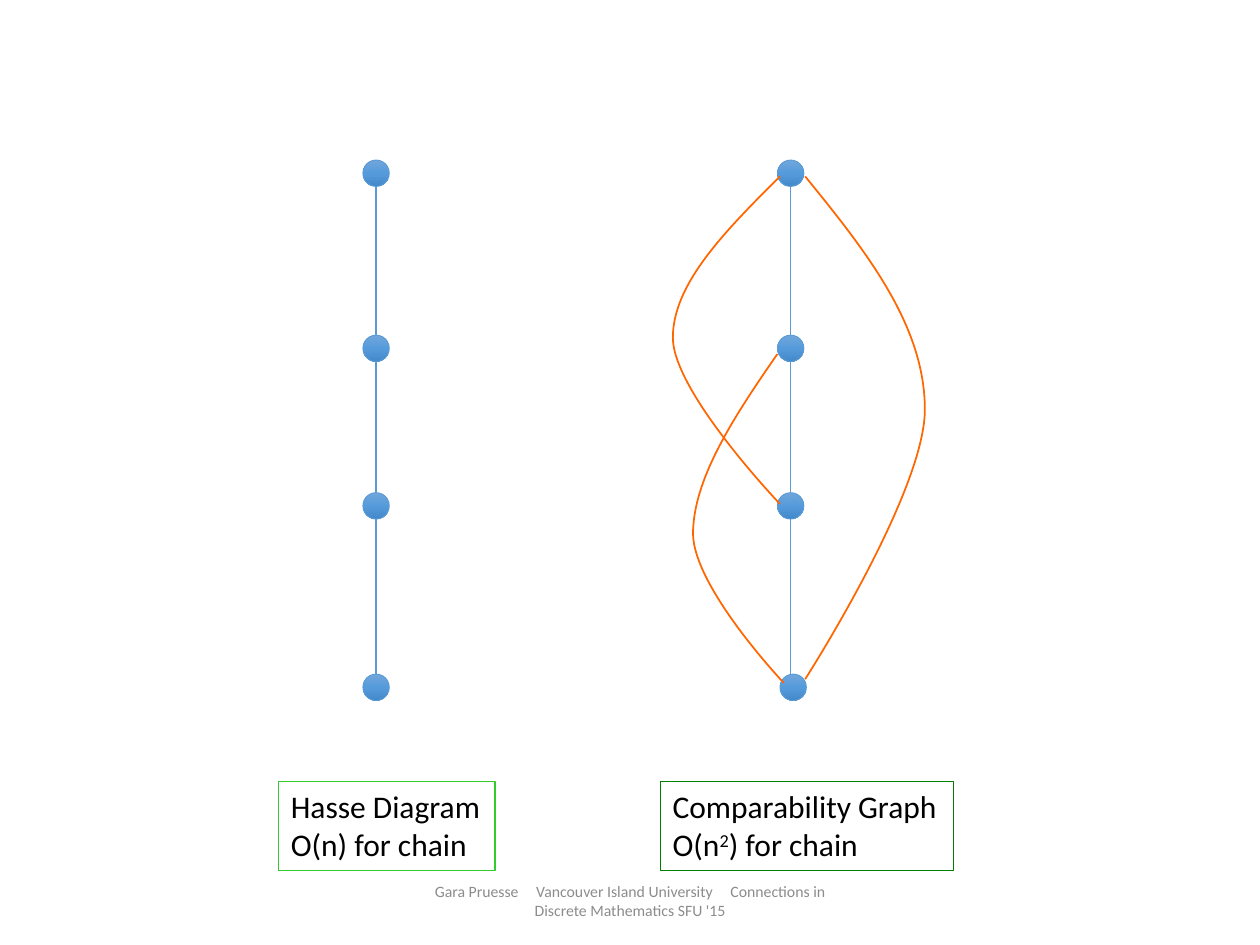
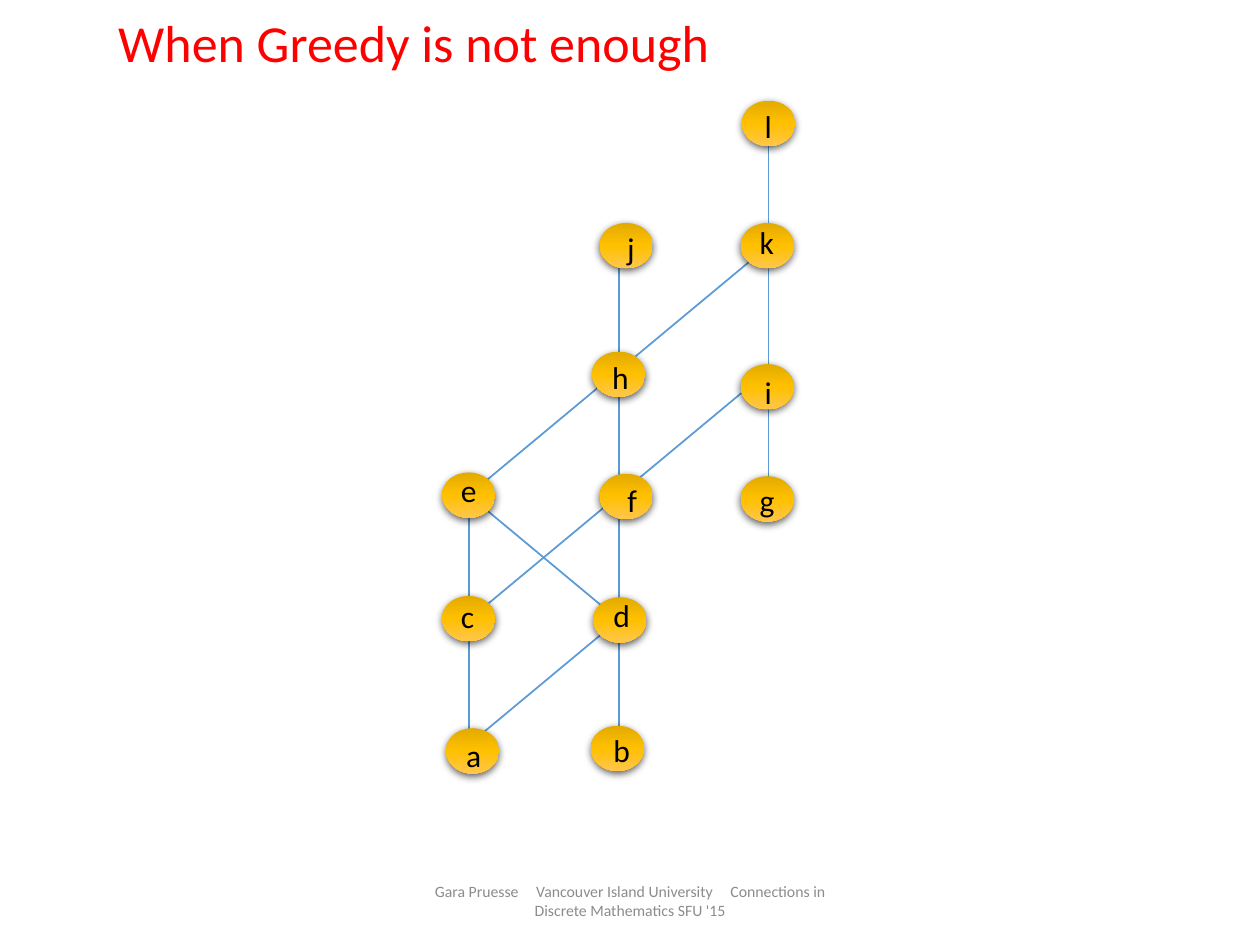
from lxml import etree
from pptx import Presentation
from pptx.dml.color import RGBColor
from pptx.enum.shapes import MSO_CONNECTOR, MSO_SHAPE
from pptx.enum.text import MSO_ANCHOR, MSO_AUTO_SIZE, PP_ALIGN
from pptx.oxml import parse_xml
from pptx.oxml.ns import qn
from pptx.util import Inches, Pt

STRAIGHT, ELLIPSE = MSO_CONNECTOR.STRAIGHT, MSO_SHAPE.OVAL
MIDDLE, TOP = MSO_ANCHOR.MIDDLE, MSO_ANCHOR.TOP
LEFT, CENTER = PP_ALIGN.LEFT, PP_ALIGN.CENTER
NO_FIT, GROW = MSO_AUTO_SIZE.NONE, MSO_AUTO_SIZE.SHAPE_TO_FIT_TEXT
NAMESPACE = 'xmlns:a="http://schemas.openxmlformats.org/drawingml/2006/main"'

FONT = "Calibri"
BLACK, GREY, RED = "000000", "8C8C8C", "FF0000"
BLUE, ORANGE = "5B9BD5", "FF6600"
BLUE_BALL = ("71A6DB", "559BDB", "448ACA")
GOLD_BALL = ("E3AB00", "FFC000", "FFC64B")
SHADOW = (f'<a:outerShdw {NAMESPACE} blurRad="57150" dist="19050" dir="5400000" '
          'algn="ctr" rotWithShape="0"><a:srgbClr val="000000">'
          '<a:alpha val="63000"/></a:srgbClr></a:outerShdw>')

paint = RGBColor.from_string


def add_text(slide, place, lines, size=18, color=BLACK, align=LEFT, anchor=TOP,
             wrap=False, fit=GROW, spacing=None):
    """Each line is a list of (text, extra run attributes) pairs."""
    box = slide.shapes.add_textbox(*map(Inches, place))
    frame_format = {"word_wrap": wrap, "auto_size": fit, "vertical_anchor": anchor}
    for name, value in frame_format.items():
        setattr(box.text_frame, name, value)
    for number, line in enumerate(lines):
        para = box.text_frame.add_paragraph() if number else box.text_frame.paragraphs[0]
        para.alignment = align
        para.line_spacing = spacing
        for text, extras in line:
            span = para.add_run()
            span.text = text
            for name, value in {"name": FONT, "size": Pt(size)}.items():
                setattr(span.font, name, value)
            span.font.color.rgb = paint(color)
            for name, value in extras.items():
                span.font._element.set(name, value)
    return box


deck = Presentation()
deck.slide_width, deck.slide_height = Inches(10), Inches(7.5)
chain_slide, greedy_slide = [deck.slides.add_slide(deck.slide_layouts[6]) for _ in range(2)]

# The footer's gaps are single spaces with wide tracking
wide_gap = (" ", {"spc": "810"})
footer = [("Gara Pruesse", {}), wide_gap, ("Vancouver Island University", {}), wide_gap,
          ("Connections in Discrete Mathematics SFU '15", {})]
for slide in (chain_slide, greedy_slide):
    add_text(slide, (3.31, 6.95, 3.38, 0.4), [footer], size=9, color=GREY,
             align=CENTER, anchor=MIDDLE, wrap=True, fit=NO_FIT)
add_text(greedy_slide, (0.84, 0.29, 9, 0.15), [[("When Greedy is not enough", {})]],
         size=29.7, color=RED, anchor=MIDDLE, wrap=True, fit=NO_FIT, spacing=0.9)

# Two chains of four dots
DOT = 0.21
chain_lefts = (2.88, 6.17)
chain_tops = (1.27, 2.66, 3.91, 5.35)
lines, balls = [], []
for left in chain_lefts:
    middle = left + DOT / 2
    for upper, lower in zip(chain_tops, chain_tops[1:]):
        lines.append((chain_slide, middle, upper + DOT, middle, lower))
    for top in chain_tops:
        nudge = 0.02 if (left, top) == (chain_lefts[-1], chain_tops[-1]) else 0
        balls.append((chain_slide, (left + nudge, top, DOT, DOT), BLUE_BALL))

# The poset: column, row, node left and top, label left, top and width
nodes = {
    "b": (1, 5, 4.69, 5.76, 4.77, 5.75, 0.33),
    "a": (0, 5, 3.54, 5.78, 3.60, 5.79, 0.32),
    "c": (0, 4, 3.51, 4.73, 3.56, 4.69, 0.31),
    "d": (1, 4, 4.71, 4.74, 4.77, 4.68, 0.33),
    "e": (0, 3, 3.51, 3.75, 3.56, 3.69, 0.33),
    "f": (1, 3, 4.76, 3.76, 4.88, 3.77, 0.29),
    "g": (2, 3, 5.88, 3.78, 5.93, 3.77, 0.32),
    "h": (1, 2, 4.70, 2.79, 4.76, 2.79, 0.33),
    "i": (2, 2, 5.88, 2.89, 5.97, 2.91, 0.26),
    "j": (1, 1, 4.76, 1.77, 4.88, 1.77, 0.26),
    "k": (2, 1, 5.88, 1.77, 5.93, 1.72, 0.32),
    "l": (2, 0, 5.89, 0.80, 5.97, 0.80, 0.26),
}
edges = "jh eh ad cf hk fi ec hf ca ki fd lk db ig ed".split()
for edge in edges:
    ends = []
    for letter in edge:
        column, row = nodes[letter][:2]
        ends += [3.72 + 1.19 * column, 0.96 + 0.99 * row]
    lines.append((greedy_slide, *ends))
for column, row, left, top, *label in nodes.values():
    balls.append((greedy_slide, (left, top, 0.42, 0.36), GOLD_BALL))

for slide, *ends in lines:
    connector = slide.shapes.add_connector(STRAIGHT, *map(Inches, ends))
    connector.line.color.rgb = paint(BLUE)
    connector.line.width = Pt(1)
    etree.SubElement(connector.element.spPr, qn("a:effectLst"))

for slide, place, colors in balls:
    ball = slide.shapes.add_shape(ELLIPSE, *map(Inches, place))
    ball.shadow.inherit = False
    stops = "".join(f'<a:gs pos="{position}"><a:srgbClr val="{color}"/></a:gs>'
                    for position, color in zip((0, 50000, 100000), colors))
    gradient = parse_xml(f'<a:gradFill {NAMESPACE} rotWithShape="1"><a:gsLst>{stops}</a:gsLst>'
                         '<a:lin ang="5400000" scaled="0"/></a:gradFill>')
    ball.element.spPr.find(qn("a:prstGeom")).addnext(gradient)
    if colors == BLUE_BALL:
        ball.line.color.rgb = paint(BLUE)
        ball.line.width = Pt(0.5)
    else:
        ball.line.fill.background()
        ball.element.spPr.find(qn("a:effectLst")).append(parse_xml(SHADOW))

for letter, (*_, left, top, width) in nodes.items():
    add_text(greedy_slide, (left, top, width, 0.4), [[(letter, {})]])

# Captions below the chains
captions = [
    (2.21, 1.72, "33CB2A", [[("Hasse Diagram", {})], [("O(n) for chain", {})]]),
    (5.24, 2.33, "008000", [[("Comparability Graph", {})],
                            [("O(n", {}), ("2", {"baseline": "30000"}), (") for chain", {})]]),
]
for left, width, color, text in captions:
    caption = add_text(chain_slide, (left, 6.2, width, 0.71), text)
    caption.line.color.rgb = paint(color)
    caption.line.width = Pt(0.75)

# Extra comparabilities: a start, then three points for each Bézier segment
curves = [
    [(6.17, 2.81), (5.83, 3.3), (5.5, 3.8), (5.5, 4.24), (5.51, 4.67), (6.22, 5.42), (6.22, 5.42)],
    [(6.39, 1.4), (6.87, 1.99), (7.34, 2.58), (7.34, 3.25), (7.34, 3.91), (6.39, 5.39), (6.39, 5.39)],
    [(6.19, 1.4), (5.76, 1.83), (5.34, 2.25), (5.34, 2.68), (5.34, 3.11), (6.19, 4), (6.19, 4)],
]
for curve in curves:
    start, *points = [(Inches(x), Inches(y)) for x, y in curve]
    builder = chain_slide.shapes.build_freeform(*start)
    builder.add_line_segments(points, close=False)
    arc = builder.convert_to_shape()
    arc.shadow.inherit = False
    arc.fill.background()
    arc.line.color.rgb = paint(ORANGE)
    arc.line.width = Pt(1)
    segments = arc.element.xpath(".//a:lnTo")
    for first in range(0, len(segments), 3):
        bezier = etree.Element(qn("a:cubicBezTo"))
        segments[first].addprevious(bezier)
        for segment in segments[first:first + 3]:
            bezier.append(segment[0])
            segment.getparent().remove(segment)

deck.save("out.pptx")
